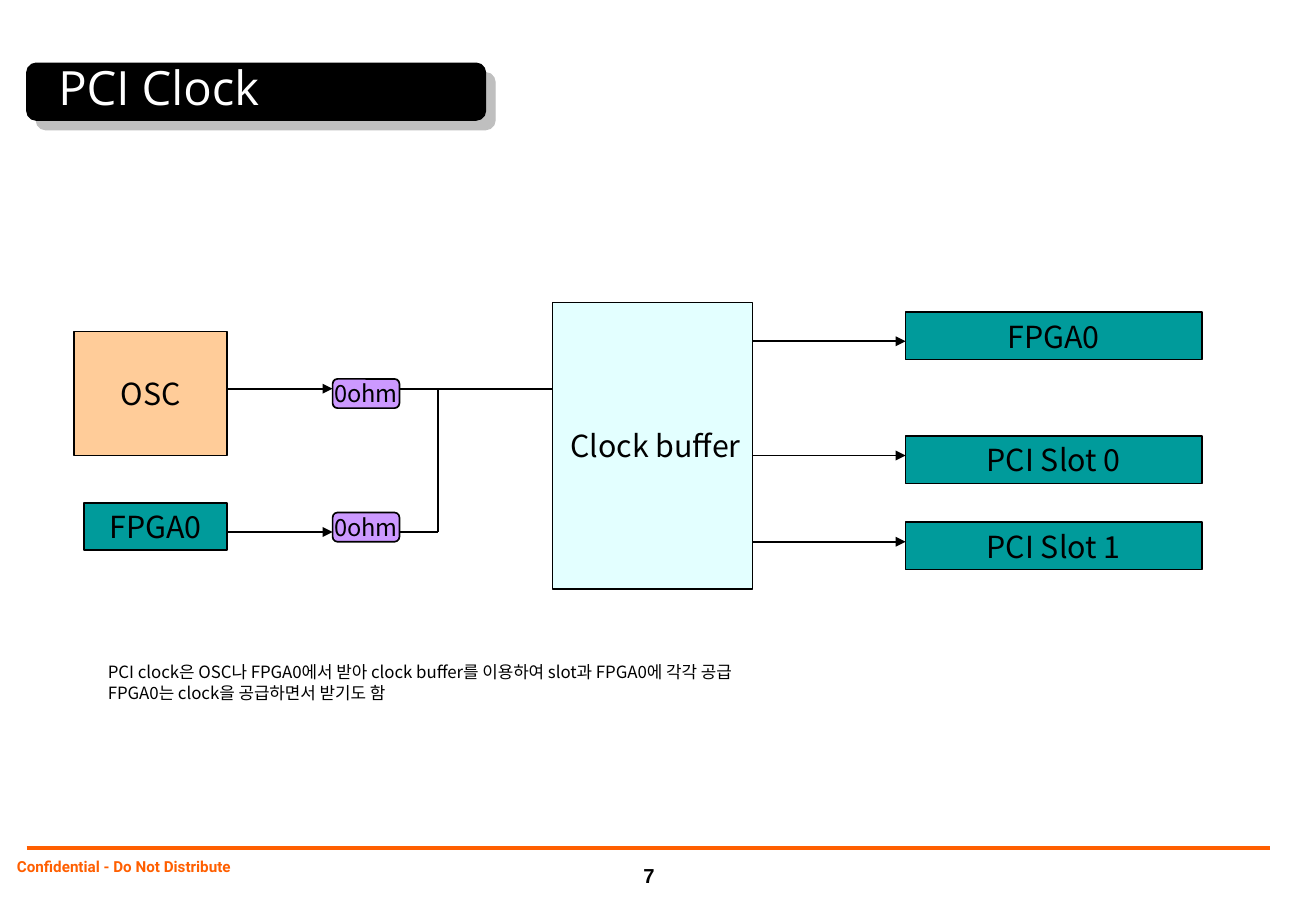
from dataclasses import dataclass
from typing import Any

from lxml import etree
from pptx import Presentation
from pptx.dml.color import RGBColor
from pptx.enum.shapes import MSO_CONNECTOR, MSO_SHAPE
from pptx.enum.text import MSO_ANCHOR, PP_ALIGN
from pptx.oxml.ns import qn
from pptx.util import Inches, Pt

RECT, ROUND = MSO_SHAPE.RECTANGLE, MSO_SHAPE.ROUNDED_RECTANGLE
STRAIGHT = MSO_CONNECTOR.STRAIGHT
TOP, MIDDLE, BOTTOM = MSO_ANCHOR.TOP, MSO_ANCHOR.MIDDLE, MSO_ANCHOR.BOTTOM
LEFT, CENTER, RIGHT = PP_ALIGN.LEFT, PP_ALIGN.CENTER, PP_ALIGN.RIGHT


@dataclass(frozen=True)
class Theme:
    black: str = "000000"
    white: str = "FFFFFF"
    orange: str = "FF5F00"
    teal: str = "009B9B"
    peach: str = "FFCC99"
    violet: str = "CC99FF"
    ice: str = "CCFFFF"
    shadow: str = "808080"
    body_font: str = "Noto Sans CJK KR"
    title_font: str = "Open Sans"
    footer_font: str = "Roboto"
    number_font: str = "Arial"
    title_size: float = 28
    block_size: float = 18
    resistor_size: float = 14
    number_size: float = 12
    note_size: float = 10
    footer_size: float = 9


T = Theme()


@dataclass(frozen=True)
class Style:
    size: float = T.block_size
    font: str = T.body_font
    color: str = T.black
    bold: bool = False
    align: Any = CENTER
    anchor: Any = MIDDLE
    wrap: bool = False
    insets: tuple[float, ...] = (0.1, 0.05, 0.1, 0.05)
    indent: float = 0
    spacing: float = 1.0


@dataclass(frozen=True)
class Block:
    box: tuple[float, float, float, float]
    fill: str
    text: str = ""
    style: Style = Style()
    kind: Any = RECT
    line: float = 1


@dataclass(frozen=True)
class Label:
    box: tuple[float, float, float, float]
    text: str
    style: Style


@dataclass(frozen=True)
class Wire:
    start: tuple[float, float]
    end: tuple[float, float]
    arrow: bool = False
    color: str = T.black
    width: float = 1


def write(sp: Any, text: str, style: Style) -> None:
    tf = sp.text_frame
    margins = zip(("left", "top", "right", "bottom"), style.insets)
    formats = {f"margin_{side}": Inches(v) for side, v in margins}
    formats |= {"word_wrap": style.wrap, "vertical_anchor": style.anchor}
    for name, value in formats.items():
        setattr(tf, name, value)
    for i, line in enumerate(text.split("\n")):
        p = tf.add_paragraph() if i else tf.paragraphs[0]
        p.alignment, p.line_spacing = style.align, style.spacing
        p._p.get_or_add_pPr().set("marL", str(Inches(style.indent)))
        r = p.add_run()
        r.text = line
        font = {"size": Pt(style.size), "name": style.font, "bold": style.bold}
        for name, value in font.items():
            setattr(r.font, name, value)
        r.font.color.rgb = RGBColor.from_string(style.color)
        etree.SubElement(r._r.get_or_add_rPr(), qn("a:ea"), typeface=style.font)


def add_block(shapes: Any, block: Block) -> Any:
    sp = shapes.add_shape(block.kind, *map(Inches, block.box))
    sp.shadow.inherit = False
    sp.fill.solid()
    sp.fill.fore_color.rgb = RGBColor.from_string(block.fill)
    sp.line.color.rgb = RGBColor.from_string(T.black)
    sp.line.width = Pt(block.line)
    if block.text:
        write(sp, block.text, block.style)
    return sp


def add_label(shapes: Any, label: Label) -> None:
    write(shapes.add_textbox(*map(Inches, label.box)), label.text, label.style)


def add_wire(shapes: Any, wire: Wire) -> None:
    line = shapes.add_connector(STRAIGHT, *map(Inches, wire.start + wire.end))
    line.line.color.rgb = RGBColor.from_string(wire.color)
    line.line.width = Pt(wire.width)
    if wire.arrow:
        etree.SubElement(line.line._get_or_add_ln(), qn("a:tailEnd"), type="triangle")
    etree.SubElement(line._element.spPr, qn("a:effectLst"))


def set_alpha(parent: Any, percent: int) -> None:
    color = next(parent.iter(qn("a:srgbClr")))
    etree.SubElement(color, qn("a:alpha"), val=str(percent * 1000))


def cast_shadow(sp: Any) -> None:
    effects = sp._element.spPr.find(qn("a:effectLst"))
    shadow = etree.SubElement(effects, qn("a:outerShdw"), blurRad="0",
                              dist=str(Pt(8)), dir=str(45 * 60000),
                              algn="ctr", rotWithShape="0")
    etree.SubElement(shadow, qn("a:srgbClr"), val=T.shadow)
    set_alpha(shadow, 50)


BUFFER_LEFT, BUFFER_RIGHT = 4.55, 6.2
TARGET_LEFT, SOURCE_RIGHT = 7.46, 1.87
RESISTOR_LEFT, RESISTOR_RIGHT = 2.74, 3.29
OSC_Y, FPGA_Y, JOIN_X = 3.2, 4.38, 3.61

TARGETS = (("FPGA0", 2.57, 2.81), ("PCI Slot 0", 3.59, 3.75), ("PCI Slot 1", 4.3, 4.46))
RESISTOR_TOPS = (3.12, 4.22)
NOTE = ("PCI clock은 OSC나 FPGA0에서 받아 clock buffer를 이용하여 slot과 FPGA0에 각각 공급\n"
        "FPGA0는 clock을 공급하면서 받기도 함")

TITLE_BAR = Block((0.22, 0.52, 3.78, 0.47), T.black, kind=ROUND, line=0.75)
BUFFER = Block((BUFFER_LEFT, 2.49, BUFFER_RIGHT - BUFFER_LEFT, 2.36), T.ice,
               "Clock buffer", Style(align=RIGHT))
BLOCKS = [
    Block((0.61, 2.73, 1.26, 1.02), T.peach, "OSC"),
    Block((0.69, 4.14, 1.18, 0.39), T.teal, "FPGA0"),
    *(Block((TARGET_LEFT, top, 2.44, 0.39), T.teal, name) for name, top, _ in TARGETS),
    *(Block((RESISTOR_LEFT, top, RESISTOR_RIGHT - RESISTOR_LEFT, 0.24), T.violet,
            "0ohm", Style(T.resistor_size), ROUND) for top in RESISTOR_TOPS),
]
WIRES = [
    Wire((0.22, 6.98), (10.46, 6.98), color=T.orange, width=2),
    *(Wire((BUFFER_RIGHT, y), (TARGET_LEFT, y), True) for _, _, y in TARGETS),
    *(Wire((SOURCE_RIGHT, y), (RESISTOR_LEFT, y), True) for y in (OSC_Y, FPGA_Y)),
    Wire((RESISTOR_RIGHT, OSC_Y), (BUFFER_LEFT, OSC_Y)),
    Wire((RESISTOR_RIGHT, FPGA_Y), (JOIN_X, FPGA_Y)),
    Wire((JOIN_X, FPGA_Y), (JOIN_X, OSC_Y)),
]
LABELS = [
    Label((0.38, 0.2, 4.41, 1.03), "PCI Clock",
          Style(T.title_size, T.title_font, T.white, align=LEFT, wrap=True,
                insets=(0.06, 0.06, 0.1, 0.06), indent=0.04)),
    Label((0.79, 5.4, 5.77, 0.44), NOTE, Style(T.note_size, align=LEFT, anchor=TOP)),
    Label((0.09, 7.04, 3.66, 0.27), "Confidential - Do Not Distribute",
          Style(T.footer_size, T.footer_font, T.orange, True, LEFT, TOP, True,
                (0, 0, 0.05, 0), 0.05, 1.1)),
    Label((5.19, 7.05, 0.31, 0.31), "7",
          Style(T.number_size, T.number_font, bold=True, anchor=BOTTOM, wrap=True)),
]


def main() -> None:
    prs = Presentation()
    prs.slide_width, prs.slide_height = Inches(10.84), Inches(7.5)
    shapes = prs.slides.add_slide(prs.slide_layouts[6]).shapes
    cast_shadow(add_block(shapes, TITLE_BAR))
    set_alpha(add_block(shapes, BUFFER)._element.spPr.find(qn("a:solidFill")), 54)
    for block in BLOCKS:
        add_block(shapes, block)
    for wire in WIRES:
        add_wire(shapes, wire)
    for label in LABELS:
        add_label(shapes, label)
    prs.save("out.pptx")


if __name__ == "__main__":
    main()
